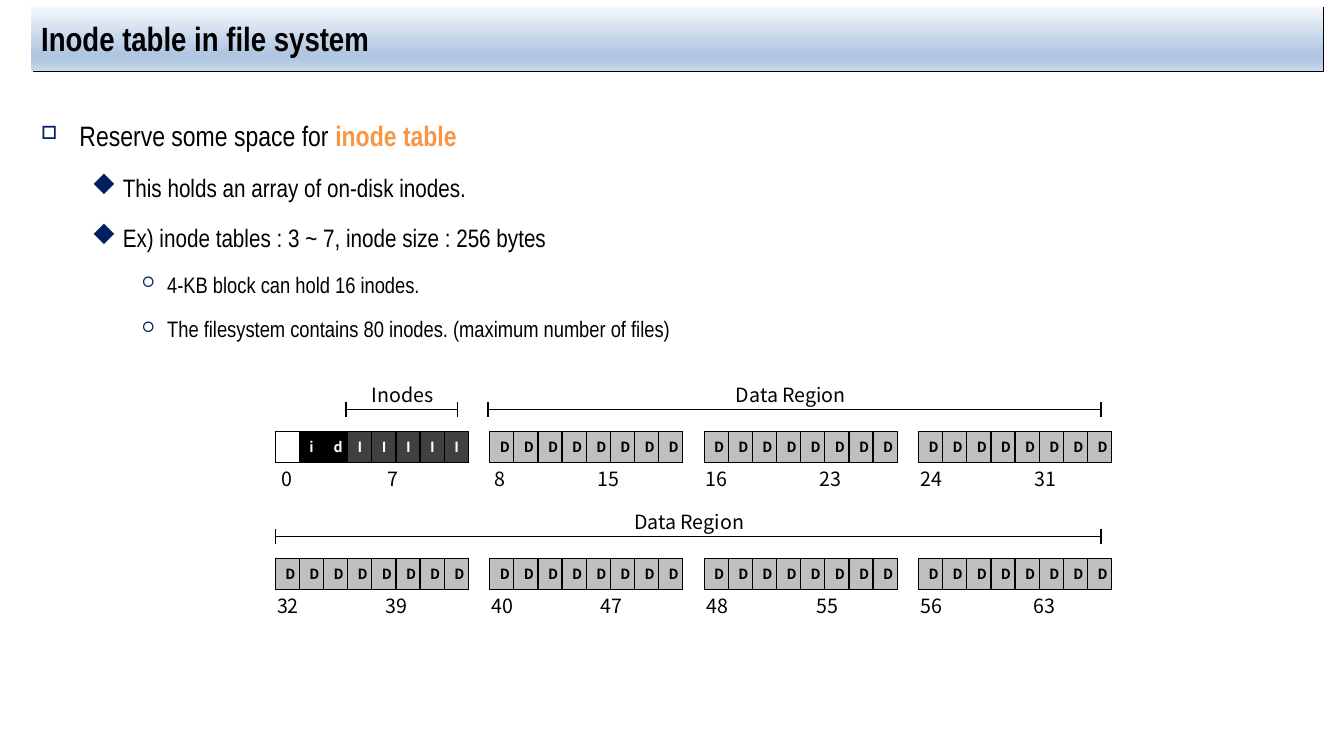
from pptx import Presentation
from pptx.dml.color import RGBColor as RGB
from pptx.enum.shapes import MSO_CONNECTOR as LINK, MSO_SHAPE as SHAPE
from pptx.enum.text import MSO_ANCHOR as ANCHOR, MSO_AUTO_SIZE as FIT, PP_ALIGN as ALIGN
from pptx.oxml.ns import qn
from pptx.util import Inches, Pt
from lxml.etree import SubElement

BLACK, WHITE, GRAY, DARK = "000000", "FFFFFF", "BFBFBF", "404040"
NAVY, ORANGE = "002060", "F79646"
NARROW, NOTO, SIGNS = "Arial Narrow", "Noto Sans CJK KR", "Wingdings"

# Level: left margin, hanging indent, bullet, bullet size in percent, text size
# In the symbol font, o is a square, u a diamond and ¡ a circle
LEVELS = [
    (0.38, 0.38, "o", 65, 20),
    (0.81, 0.31, "u", 100, 18),
    (1.25, 0.25, "¡", 65, 16),
]
POINTS = [
    (0, "Reserve some space for ", "inode table"),
    (1, "This holds an array of on-disk inodes.", ""),
    (1, "Ex) inode tables : 3 ~ 7, inode size : 256 bytes", ""),
    (2, "4-KB block can hold 16 inodes.", ""),
    (2, "The filesystem contains 80 inodes. (maximum number of files)", ""),
]
FILLS = {" ": WHITE, "i": BLACK, "d": BLACK, "I": DARK, "D": GRAY}
# Row top, then for each group: cells, label left, tab stop
ROWS = [
    (4.28, [(" idIIIII", 2.69, 1.06), ("D" * 8, 4.81, 1.02),
            ("D" * 8, 6.9, 1.13), ("D" * 8, 9.03, 1.13)]),
    (5.54, [("D" * 8, 2.65, 1.08), ("D" * 8, 4.78, 1.08),
            ("D" * 8, 6.91, 1.09), ("D" * 8, 9.03, 1.12)]),
]
# Caption, caption left, caption width, left end, right end, middle height
SPANS = [
    ("Inodes", 3.59, 0.84, 3.43, 4.54, 4.06),
    ("Data Region", 7.2, 1.36, 4.84, 10.92, 4.06),
    ("Data Region", 6.19, 1.36, 2.73, 10.92, 5.32),
]


def tint(code):
    return RGB.from_string(code)


def node(parent, tag, **attrs):
    """Append an XML child whose attribute values may be numbers."""
    return SubElement(parent, qn(tag), {k: str(v) for k, v in attrs.items()})


def write(para, text, size=14, font=NOTO, color=BLACK, bold=False):
    run = para.add_run()
    run.text = text
    run.font.size, run.font.name, run.font.bold = Pt(size), font, bold
    run.font.color.rgb = tint(color)


def box(slide, left, top, width, height):
    frame = slide.shapes.add_textbox(
        Inches(left), Inches(top), Inches(width), Inches(height)).text_frame
    frame.word_wrap = True
    return frame


def label(slide, text, left, top, width, stop=None):
    """Add a one-line label; stop is the place of its tab in inches."""
    frame = box(slide, left, top, width, 0.34)
    frame.auto_size = FIT.SHAPE_TO_FIT_TEXT
    para = frame.paragraphs[0]
    if stop:
        tabs = node(para._p.get_or_add_pPr(), "a:tabLst")
        node(tabs, "a:tab", pos=Inches(stop), algn="l")
    write(para, text)


def line(slide, x1, y1, x2, y2):
    link = slide.shapes.add_connector(
        LINK.STRAIGHT, Inches(x1), Inches(y1), Inches(x2), Inches(y2))
    link.line.color.rgb, link.line.width = tint(BLACK), Pt(1)
    node(link._element.spPr, "a:effectLst")


def title(slide, text):
    bar = slide.shapes.add_shape(
        SHAPE.RECTANGLE, Inches(0.31), Inches(0.06), Inches(12.81), Inches(0.64))
    bar.line.fill.background()
    bar.fill.gradient()
    bar.fill.gradient_angle = 270
    props = bar._element.spPr
    stops = props.find(".//" + qn("a:gsLst"))
    for stop in list(stops):
        stops.remove(stop)
    for place, code in [(0, "F6F9FC"), (74, "B0C6E1"), (83, "B0C6E1"), (100, "CAD9EB")]:
        node(node(stops, "a:gs", pos=place * 1000), "a:srgbClr", val=code)
    bar.shadow.inherit = False
    shade = node(props.find(qn("a:effectLst")), "a:outerShdw", blurRad=0,
                 dist=Pt(1.4), dir=45 * 60000, algn="tl", rotWithShape=0)
    node(shade, "a:srgbClr", val=BLACK)
    bar.text_frame.vertical_anchor = ANCHOR.MIDDLE
    para = bar.text_frame.paragraphs[0]
    para.alignment = ALIGN.LEFT
    write(para, text, size=24, font=NARROW, bold=True)


def body(slide):
    frame = box(slide, 0.31, 0.96, 12.81, 6.02)
    for i, (level, text, strong) in enumerate(POINTS):
        para = frame.add_paragraph() if i else frame.paragraphs[0]
        left, hang, mark, scale, size = LEVELS[level]
        para.level, para.line_spacing = level, 1.5
        para.space_before = Pt(size * 0.2)
        props = para._p.get_or_add_pPr()
        props.set("marL", str(Inches(left)))
        props.set("indent", str(-Inches(hang)))
        node(node(props, "a:buClr"), "a:srgbClr", val=NAVY)
        node(props, "a:buSzPct", val=scale * 1000)
        node(props, "a:buFont", typeface=SIGNS, pitchFamily=2, charset=2)
        node(props, "a:buChar", char=mark)
        write(para, text, size=size, font=NARROW)
        if strong:
            write(para, strong, size=size, font=NARROW, color=ORANGE, bold=True)


def frame_cell(cell):
    props = cell._tc.get_or_add_tcPr()
    for i, side in enumerate("LRTB"):
        edge = node(props, "a:ln" + side, w=Pt(1))
        node(node(edge, "a:solidFill"), "a:srgbClr", val=BLACK)
        props.insert(i, edge)


def group(slide, marks, left, top):
    """Add one row of disk blocks, a cell for each mark."""
    table = slide.shapes.add_table(
        1, len(marks), Inches(left), Inches(top), Inches(1.82), Inches(0.31)).table
    table.first_row = table.horz_banding = False
    for i, mark in enumerate(marks):
        cell = table.cell(0, i)
        cell.fill.solid()
        cell.fill.fore_color.rgb = tint(FILLS[mark])
        frame_cell(cell)
        para = cell.text_frame.paragraphs[0]
        para.alignment = ALIGN.CENTER
        if mark == " ":
            node(para._p, "a:endParaRPr", sz=1000)
        else:
            write(para, mark, size=10, bold=True,
                  color=BLACK if mark == "D" else WHITE)


def span(slide, text, at, width, left, right, mid):
    """Add a captioned bracket from left to right."""
    line(slide, left, mid, right, mid)
    for end in (left, right):
        line(slide, end, mid - 0.07, end, mid + 0.08)
    label(slide, text, at, mid - 0.31, width)


def main():
    deck = Presentation()
    deck.slide_width, deck.slide_height = Inches(13.33), Inches(7.5)
    slide = deck.slides.add_slide(deck.slide_layouts[6])
    title(slide, "Inode table in file system")
    body(slide)
    first = 0
    for top, groups in ROWS:
        for i, (marks, left, stop) in enumerate(groups):
            group(slide, marks, 2.73 + i * 6.38 / 3, top)
            last = first + len(marks) - 1
            label(slide, f"{first}\t{last}", left, top + 0.3, 2.03, stop)
            first = last + 1
    for item in SPANS:
        span(slide, *item)
    deck.save("out.pptx")


if __name__ == "__main__":
    main()
